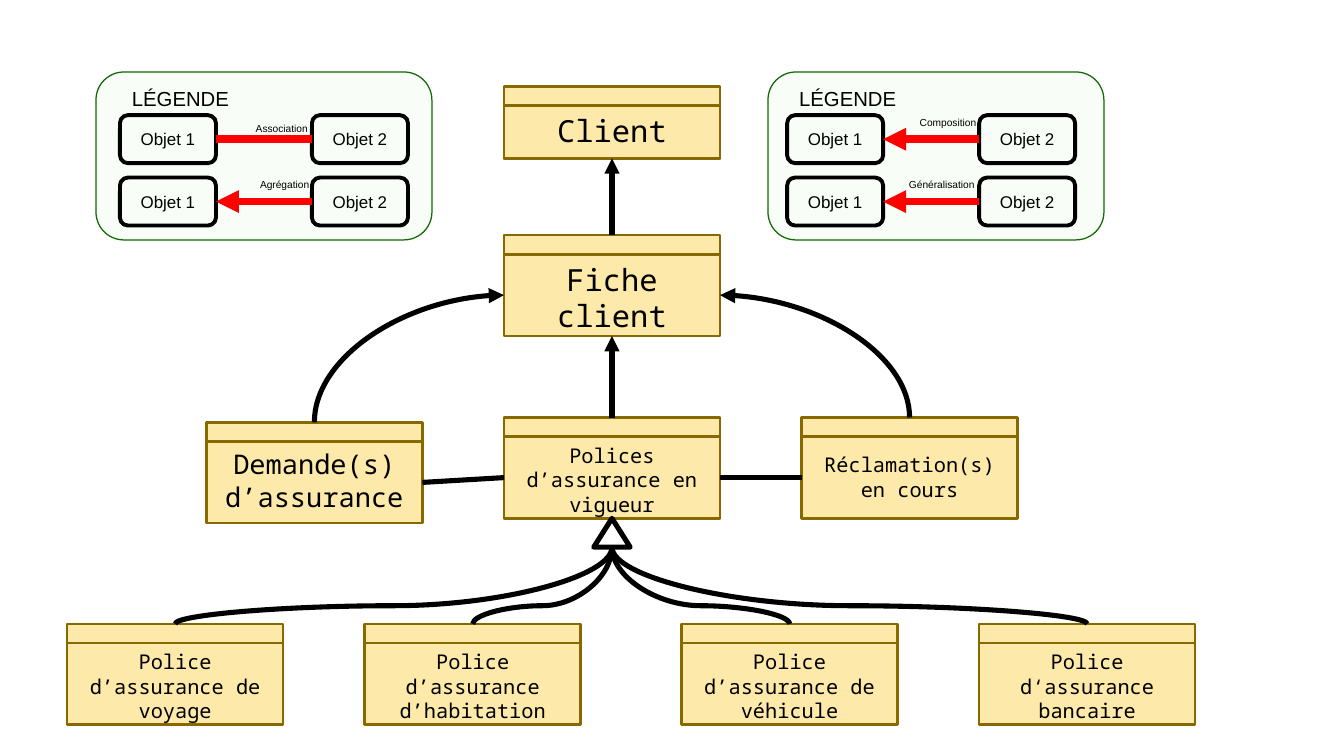
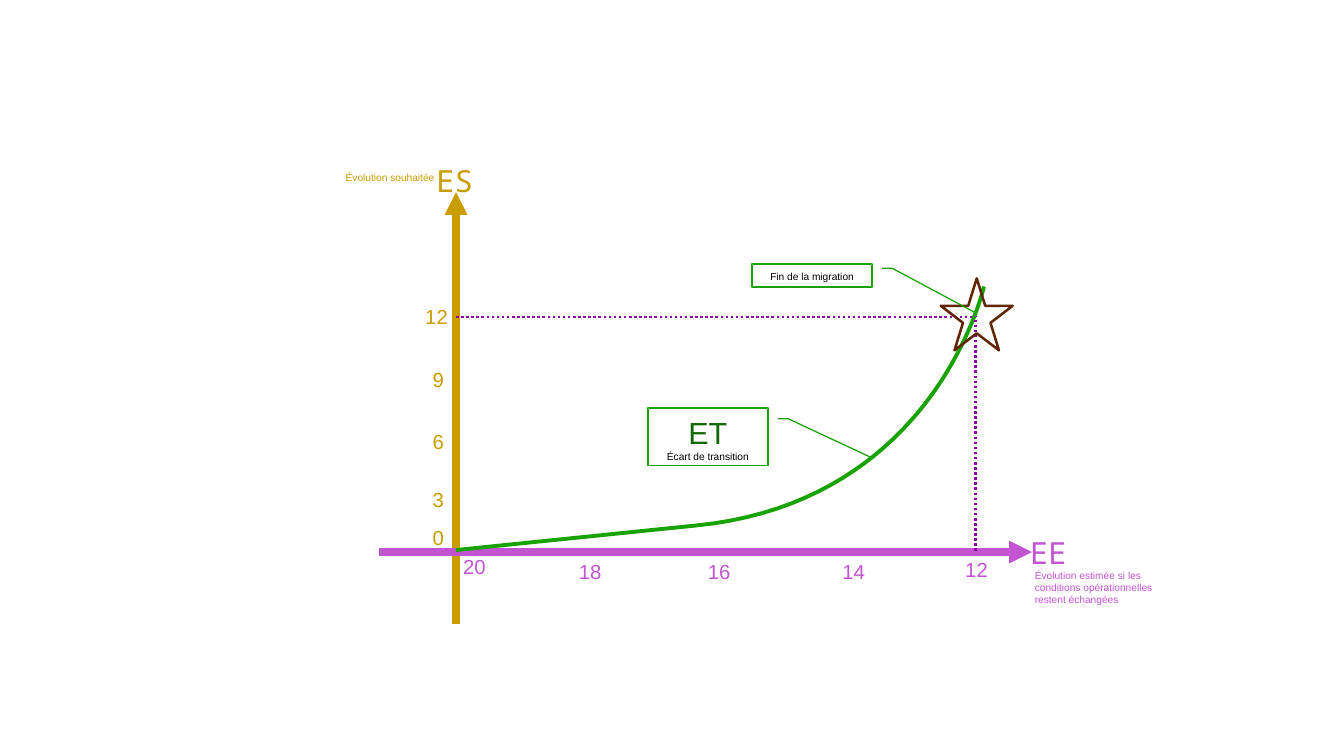
"""Builds two slides: an insurance class diagram and a transition gap chart."""
from dataclasses import dataclass
from typing import Any, Optional

import pptx
import pptx.dml.color
import pptx.enum.dml
import pptx.enum.shapes
import pptx.enum.text
import pptx.oxml
import pptx.oxml.ns
import pptx.util

RGB = pptx.dml.color.RGBColor
Pt = pptx.util.Pt
SHAPE = pptx.enum.shapes.MSO_SHAPE
LINK = pptx.enum.shapes.MSO_CONNECTOR
ALIGN = pptx.enum.text.PP_ALIGN
ANCHOR = pptx.enum.text.MSO_ANCHOR
DOT = pptx.enum.dml.MSO_LINE.ROUND_DOT

BLACK = RGB(0x00, 0x00, 0x00)
RED = RGB(0xFF, 0x00, 0x00)
CREAM = RGB(0xFD, 0xE9, 0xA9)
BROWN = RGB(0x87, 0x69, 0x00)
MINT = RGB(0xCC, 0xF4, 0xC6)
FOREST = RGB(0x10, 0x68, 0x02)
GREEN = RGB(0x18, 0xA3, 0x03)
GOLD = RGB(0xC9, 0x9C, 0x00)
PINK = RGB(0xC2, 0x54, 0xD2)
PURPLE = RGB(0x8E, 0x03, 0xA3)
RUST = RGB(0x62, 0x25, 0x02)

SANS, MONO = "Arial", "Noto Sans Mono"
COLS, ROWS = 28, 15.75
CARD_W, HEAD_H, BODY_H = 4.5, 0.4, 1.7
TOP, LEFT, BOTTOM, RIGHT = range(4)

Point = tuple[float, float]


@dataclass(frozen=True)
class Box:
    col: float
    row: float
    wide: float
    high: float


@dataclass(frozen=True)
class Text:
    words: str
    size: float
    color: RGB = BLACK
    font: str = SANS


@dataclass(frozen=True)
class Label:
    box: Box
    text: Text
    align: Any = ALIGN.LEFT


@dataclass(frozen=True)
class Card:
    name: str
    col: float
    row: float
    size: float = 12
    high: float = BODY_H
    drop: float = 0.13


@dataclass(frozen=True)
class Node:
    head: Any
    body: Any


@dataclass(frozen=True)
class Tie:
    label: Label
    arrow: bool = True


@dataclass(frozen=True)
class Legend:
    col: float
    left: float
    ties: tuple[Tie, Tie]


@dataclass(frozen=True)
class Callout:
    box: Box
    texts: tuple[Text, ...]
    drop: float


def cell(count: float) -> int:
    """Turns grid cells into a length."""
    return pptx.util.Cm(count)


def style(target: Any, **values: Any) -> None:
    """Sets each named value on the target."""
    for name, value in values.items():
        setattr(target, name, value)


def grow(parent: Any, tag: str, **values: str) -> Any:
    """Appends an XML element with attributes."""
    child = pptx.oxml.parse_xml(f"<{tag} {pptx.oxml.ns.nsdecls('a')}/>")
    for name, value in values.items():
        child.set(name, value)
    parent.append(child)
    return child


def write(shape: Any, texts: tuple[Text, ...], align: Any, **frame: Any) -> None:
    """Writes one paragraph per text."""
    style(shape.text_frame, word_wrap=True, **frame)
    for index, text in enumerate(texts):
        paras = shape.text_frame
        para = paras.add_paragraph() if index else paras.paragraphs[0]
        para.alignment = align
        run = para.add_run()
        run.text = text.words
        style(run.font, size=Pt(text.size), name=text.font)
        run.font.color.rgb = text.color


def paint(shape: Any, color: RGB, width: float, fill: Optional[RGB] = None) -> None:
    """Sets the outline and fill of a shape."""
    shape.shadow.inherit = False
    if fill is None:
        shape.fill.background()
    else:
        shape.fill.solid()
        shape.fill.fore_color.rgb = fill
    shape.line.color.rgb = color
    shape.line.width = Pt(width)


def block(slide: Any, kind: Any, box: Box, color: RGB, width: float,
          fill: Optional[RGB] = None) -> Any:
    """Draws a preset shape on the grid."""
    sides = map(cell, (box.col, box.row, box.wide, box.high))
    shape = slide.shapes.add_shape(kind, *sides)
    paint(shape, color, width, fill)
    return shape


def label(slide: Any, item: Label) -> None:
    """Draws a text box."""
    box = item.box
    sides = map(cell, (box.col, box.row, box.wide, box.high))
    write(slide.shapes.add_textbox(*sides), (item.text,), item.align)


def line(slide: Any, start: Point, end: Point, color: RGB, width: float,
         arrow: bool = False, dash: Any = None, kind: Any = LINK.STRAIGHT) -> Any:
    """Draws a connector between two grid points."""
    wire = slide.shapes.add_connector(kind, *map(cell, start + end))
    wire.line.color.rgb = color
    style(wire.line, width=Pt(width), dash_style=dash)
    if arrow:
        grow(wire.line._get_or_add_ln(), "a:tailEnd", type="triangle")
    grow(wire.element.spPr, "a:effectLst")
    return wire


def join(slide: Any, first: Any, site: int, last: Any, goal: int,
         color: RGB = BLACK, width: float = 3, arrow: bool = False) -> None:
    """Joins the sides of two shapes with a straight line."""
    wire = line(slide, (0, 0), (1, 1), color, width, arrow)
    wire.begin_connect(first, site)
    wire.end_connect(last, goal)


def curve(slide: Any, first: Any, last: Any, goal: int, end: Point,
          bend: Optional[int] = None) -> None:
    """Curves from the top of one shape to a site of another."""
    wire = line(slide, (0, 0), (1, 1), BLACK, 3, bend is None, kind=LINK.CURVE)
    wire.begin_connect(first, TOP)
    wire.end_connect(last, goal)
    left, top = first.left + first.width // 2, first.top
    right, low = map(cell, end)
    wide, high = abs(right - left), abs(low - top)
    style(wire, left=(left + right - high) // 2, top=(top + low - wide) // 2,
          width=high, height=wide)
    ahead = right > left
    frame = wire.element.spPr.find(pptx.oxml.ns.qn("a:xfrm"))
    turn = {"rot": str((90 if ahead else 270) * 60000),
            "flipH": str(int(ahead)), "flipV": "1"}
    for name, value in turn.items():
        frame.set(name, value)
    shape = wire.element.spPr.find(pptx.oxml.ns.qn("a:prstGeom"))
    if bend is None:
        shape.set("prst", "curvedConnector2")
    else:
        grow(shape.find(pptx.oxml.ns.qn("a:avLst")), "a:gd", name="adj1", fmla=f"val {bend}")


def draw_card(slide: Any, card: Card) -> Node:
    """Draws a class with its header band."""
    head = block(slide, SHAPE.RECTANGLE, Box(card.col, card.row, CARD_W, 1.5),
                 BROWN, 1.5, CREAM)
    body = block(slide, SHAPE.RECTANGLE,
                 Box(card.col, card.row + HEAD_H, CARD_W, card.high), BROWN, 1.5, CREAM)
    write(body, (Text(card.name, card.size, font=MONO),), ALIGN.CENTER,
          vertical_anchor=ANCHOR.TOP, margin_top=cell(card.drop))
    return Node(head, body)


def draw_key(slide: Any, key: Legend) -> None:
    """Draws a legend panel with two ties."""
    panel = block(slide, SHAPE.ROUNDED_RECTANGLE, Box(key.col, 1.5, 7, 3.5), FOREST, 0, MINT)
    tint = panel.element.spPr.find(pptx.oxml.ns.qn("a:solidFill"))
    grow(tint[0], "a:alpha", val="13000")
    for index, tie in enumerate(key.ties):
        pair = []
        for side in range(2):
            box = Box(key.left + 4 * side, 2.4 + 1.3 * index, 2, 1)
            part = block(slide, SHAPE.ROUNDED_RECTANGLE, box, BLACK, 2.3)
            write(part, (Text(f"Objet {side + 1}", 10),), ALIGN.CENTER,
                  vertical_anchor=ANCHOR.MIDDLE)
            pair.append(part)
        join(slide, pair[1], LEFT, pair[0], RIGHT, RED, 4.5, tie.arrow)
        label(slide, tie.label)
    label(slide, Label(Box(key.left, 1.68, 3.5, 0.73), Text("LÉGENDE", 12)))


def tie(name: str, col: float, row: float, arrow: bool = True) -> Tie:
    """Names a tie between two objects."""
    return Tie(Label(Box(col, row, 2, 0.48), Text(name, 6), ALIGN.CENTER), arrow)


def draw_model(slide: Any) -> None:
    """Draws the class diagram."""
    claim = draw_card(slide, Card("Réclamation(s) en cours", 16.7, 8.7, drop=0.33))
    client = draw_card(slide, Card("Client", 10.5, 1.8, 18, 1.1))
    file = draw_card(slide, Card("Fiche client", 10.5, 4.9, 18))
    quest = draw_card(slide, Card("Demande(s) d’assurance", 4.3, 8.8, 16))
    active = draw_card(slide, Card("Polices d’assurance en vigueur", 10.5, 8.7))
    kinds = {"Police d’assurance de voyage": 1.4, "Police d’assurance d’habitation": 7.6,
             "Police d’assurance de véhicule": 14.2, "Police d‘assurance bancaire": 20.4}
    leaves = [draw_card(slide, Card(name, col, 13)) for name, col in kinds.items()]
    peak = block(slide, SHAPE.ISOSCELES_TRIANGLE, Box(12.37, 10.8, 0.76, 0.6), BLACK, 3)
    for leaf in leaves:
        curve(slide, leaf.head, peak, 3, (12.75, 11.4), 23700)
    curve(slide, quest.head, file.body, LEFT, (10.5, 6.15))
    curve(slide, claim.head, file.body, RIGHT, (15, 6.15))
    for low, high in ((active, file), (file, client)):
        join(slide, low.head, TOP, high.body, BOTTOM, arrow=True)
    join(slide, active.body, LEFT, quest.body, RIGHT)
    join(slide, active.body, RIGHT, claim.body, LEFT)
    draw_key(slide, Legend(2, 2.5, (tie("Association", 4.87, 2.42, False),
                                    tie("Agrégation", 4.93, 3.6))))
    draw_key(slide, Legend(16, 16.4, (tie("Composition", 18.75, 2.3),
                                      tie("Généralisation", 18.62, 3.6))))


def draw_trend(slide: Any, start: Point, knots: tuple[Point, ...]) -> None:
    """Draws a straight rise that turns into a cubic curve."""
    steps = [index / 40 for index in range(41)]
    shares = [((1 - t) ** 3, 3 * t * (1 - t) ** 2, 3 * t * t * (1 - t), t ** 3) for t in steps]
    points = [tuple(cell(sum(s * knot[axis] for s, knot in zip(share, knots)))
                    for axis in range(2)) for share in shares]
    pen = slide.shapes.build_freeform(*map(cell, start))
    pen.add_line_segments(points, close=False)
    paint(pen.convert_to_shape(), GREEN, 2.3)


def draw_note(slide: Any, note: Callout) -> None:
    """Draws a callout whose leader leaves on the right."""
    shape = block(slide, SHAPE.LINE_CALLOUT_2, note.box, GREEN, 0)
    shape.element.spPr.find(pptx.oxml.ns.qn("a:xfrm")).set("flipH", "1")
    for index, value in enumerate((0.188, -0.083, 0.185, -0.167, note.drop, -0.852)):
        shape.adjustments[index] = value
    write(shape, note.texts, ALIGN.CENTER, vertical_anchor=ANCHOR.TOP)


def draw_gap(slide: Any) -> None:
    """Draws the transition gap chart."""
    line(slide, (9.5, 13), (9.5, 4), GOLD, 4.5, True)
    line(slide, (7.9, 11.5), (21.5, 11.5), PINK, 4.5, True)
    draw_trend(slide, (9.5, 11.46), ((14.5, 10.95), (19.5, 10.46), (20.5, 5.97), (20.5, 5.97)))
    long = "Évolution estimée si les conditions opérationnelles restent échangées"
    label(slide, Label(Box(21.31, 11.73, 3, 0.97), Text(long, 6, PINK)))
    label(slide, Label(Box(6.3, 3.45, 3, 0.48), Text("Évolution souhaitée", 6, GOLD),
                       ALIGN.RIGHT))
    label(slide, Label(Box(8.84, 3.25, 1.5, 1), Text("ES", 18, GOLD, MONO)))
    label(slide, Label(Box(21.21, 11, 1.5, 1), Text("EE", 18, PINK, MONO)))
    draw_note(slide, Callout(Box(13.5, 8.5, 2.5, 1.2),
                             (Text("ET", 18, FOREST), Text("Écart de transition", 6)), 0.852))
    line(slide, (9.5, 6.6), (20.3, 6.6), PURPLE, 1.5, dash=DOT)
    line(slide, (20.32, 11.48), (20.32, 6.58), PURPLE, 1.5, dash=DOT)
    for name, col, row in (("20", 9.4, 11.43), ("18", 11.81, 11.53), ("16", 14.5, 11.53),
                           ("14", 17.3, 11.53), ("12", 19.86, 11.48)):
        label(slide, Label(Box(col, row, 1, 0.73), Text(name, 12, PINK)))
    for name, col, row in (("12", 8.58, 6.22), ("9", 8.5, 7.52), ("6", 8.5, 8.82),
                           ("3", 8.5, 10.03), ("0", 8.5, 10.82)):
        label(slide, Label(Box(col, row, 1, 0.73), Text(name, 12, GOLD), ALIGN.RIGHT))
    block(slide, SHAPE.STAR_5_POINT, Box(19.6, 5.8, 1.5, 1.5), RUST, 1.5)
    draw_note(slide, Callout(Box(15.67, 5.5, 2.5, 0.48), (Text("Fin de la migration", 6),), 2.092))


def main() -> None:
    """Builds and saves both slides."""
    deck = pptx.Presentation()
    style(deck, slide_width=cell(COLS), slide_height=cell(ROWS))
    for draw in (draw_model, draw_gap):
        draw(deck.slides.add_slide(deck.slide_layouts[6]))
    deck.save("out.pptx")


if __name__ == "__main__":
    main()
